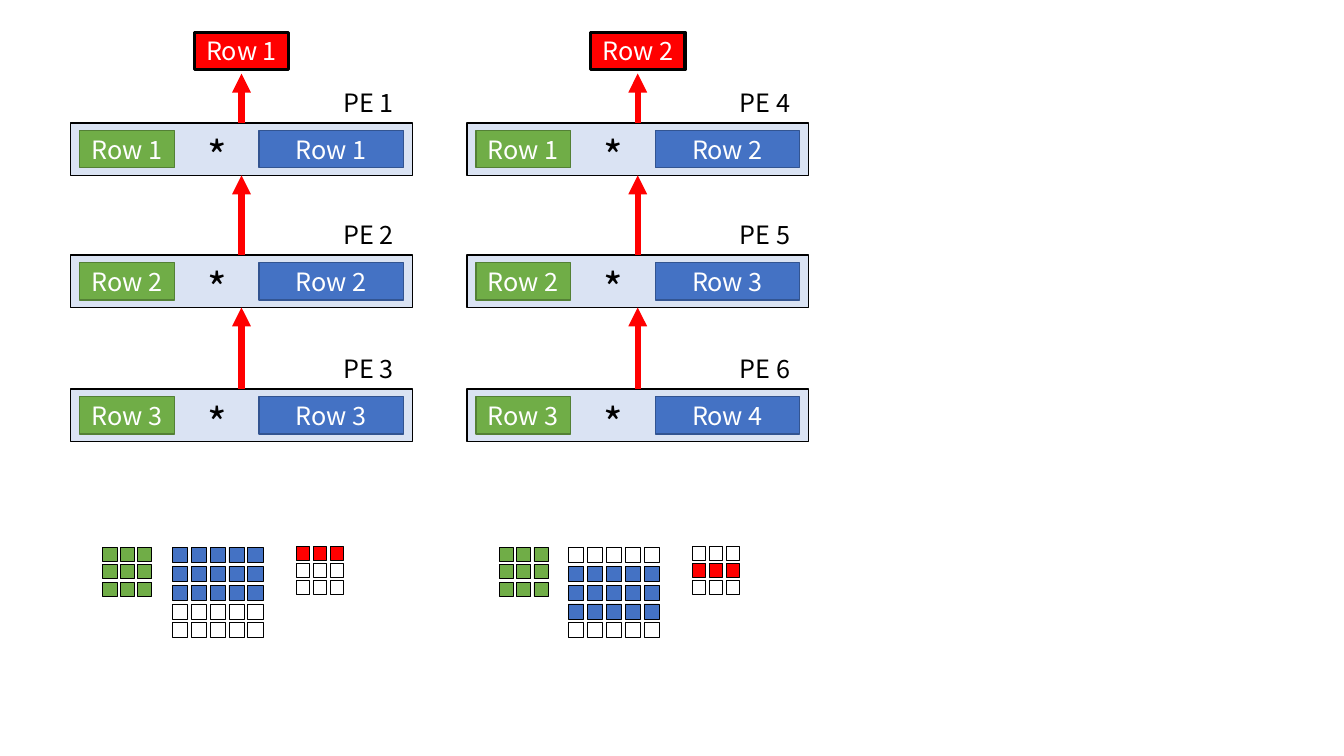
from lxml import etree
from pptx import Presentation, util as u
from pptx.dml.color import RGBColor
from pptx.enum import shapes, text
from pptx.oxml.ns import qn

COLORS = {
    "black": "000000", "white": "FFFFFF", "red": "FF0000", "panel": "DAE3F3",
    "green": "70AD47", "green_edge": "538035", "blue": "4472C4", "blue_edge": "325491",
}
FONT = "Noto Sans CJK KR"

deck = Presentation()
deck.slide_width, deck.slide_height = u.Inches(13.33), u.Inches(7.5)
slide = deck.slides.add_slide(deck.slide_layouts[6])


def write(shape, words, size=18, color="white", align=text.PP_ALIGN.CENTER,
          anchor=text.MSO_ANCHOR.MIDDLE, wrap=True):
    frame = shape.text_frame
    frame.word_wrap = wrap
    frame.vertical_anchor = anchor
    if not wrap:
        frame.auto_size = text.MSO_AUTO_SIZE.SHAPE_TO_FIT_TEXT
    paragraph = frame.paragraphs[0]
    paragraph.alignment = align
    run = paragraph.add_run()
    run.text = words
    run.font.name, run.font.size = FONT, u.Pt(size)
    run.font.color.rgb = RGBColor.from_string(COLORS[color])


def box(left, top, width, height, fill=None, edge="black", weight=1):
    shape = slide.shapes.add_shape(shapes.MSO_SHAPE.RECTANGLE,
                                   *map(u.Inches, (left, top, width, height)))
    shape.shadow.inherit = False
    if fill:
        shape.fill.solid()
        shape.fill.fore_color.rgb = RGBColor.from_string(COLORS[fill])
    else:
        shape.fill.background()
    shape.line.color.rgb = RGBColor.from_string(COLORS[edge])
    shape.line.width = u.Pt(weight)
    return shape


COLUMN_LEFT, COLUMN_PITCH = 0.7, 3.93
PE_TOPS = [1.22, 2.53, 3.86]
PE_WIDTH, PE_HEIGHT = 3.39, 0.52
ROW_WIDTH, ROW_HEIGHT = 0.94, 0.37

for column in range(2):
    left = COLUMN_LEFT + column * COLUMN_PITCH
    center = left + PE_WIDTH / 2

    # Processing elements: filter row * input row
    for row, top in enumerate(PE_TOPS):
        box(left, top, PE_WIDTH, PE_HEIGHT, "panel")
        row_top = top + (PE_HEIGHT - ROW_HEIGHT) / 2
        input_row = box(left + 1.87, row_top, 1.43, ROW_HEIGHT, "blue", "blue_edge")
        write(input_row, f"Row {row + column + 1}")
        filter_row = box(left + 0.09, row_top, ROW_WIDTH, ROW_HEIGHT, "green", "green_edge")
        write(filter_row, f"Row {row + 1}")
        labels = [(f"PE {column * 3 + row + 1}", 18, 2.61, -0.4, 0.7, 0.4),
                  ("*", 30, 1.26, 0.03, 0.38, 0.61)]
        for words, size, dx, dy, width, height in labels:
            label = slide.shapes.add_textbox(
                *map(u.Inches, (left + dx, top + dy, width, height)))
            write(label, words, size=size, color="black", align=text.PP_ALIGN.LEFT,
                  anchor=text.MSO_ANCHOR.TOP, wrap=False)

    # Partial sums moving up to the output row
    targets = [0.73] + [top + PE_HEIGHT for top in PE_TOPS[:-1]]
    for start, end in zip(PE_TOPS, targets):
        arrow = slide.shapes.add_connector(
            shapes.MSO_CONNECTOR.STRAIGHT, *map(u.Inches, (center, start, center, end)))
        arrow.line.color.rgb = RGBColor.from_string(COLORS["red"])
        arrow.line.width = u.Pt(4.5)
        etree.SubElement(arrow.line._get_or_add_ln(), qn("a:tailEnd"), type="triangle")
        etree.SubElement(arrow._element.spPr, qn("a:effectLst"))
    output_row = box(center - ROW_WIDTH / 2, 0.32, ROW_WIDTH, ROW_HEIGHT, "red", weight=2.25)
    write(output_row, f"Row {column + 1}")

    # Small matrices: filter, input, output, with the rows in use filled
    matrices = [
        (0.32, 5.43, 3, 0.173, 0.14, 0.14, "green", range(3)),
        (1.01, 5.43, 5, 0.187, 0.15, 0.15, "blue", range(column, column + 3)),
        (2.24, 5.42, 3, 0.167, 0.13, 0.14, "red", [column]),
    ]
    for dx, top, count, pitch, width, height, color, used_rows in matrices:
        for row in range(count):
            for cell in range(count):
                box(left + dx + cell * pitch, top + row * pitch, width, height,
                    color if row in used_rows else None, weight=0.5)

deck.save("out.pptx")
